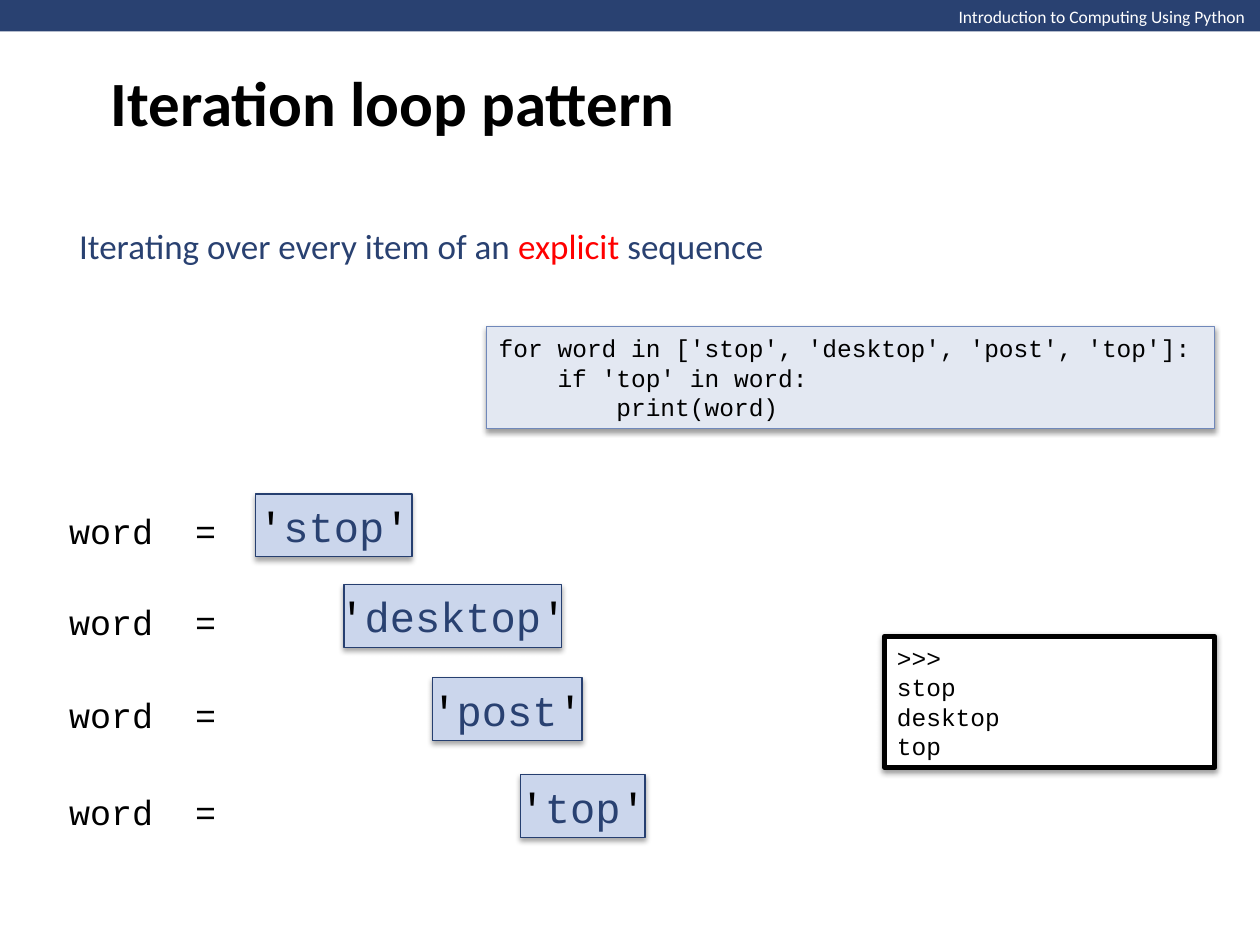
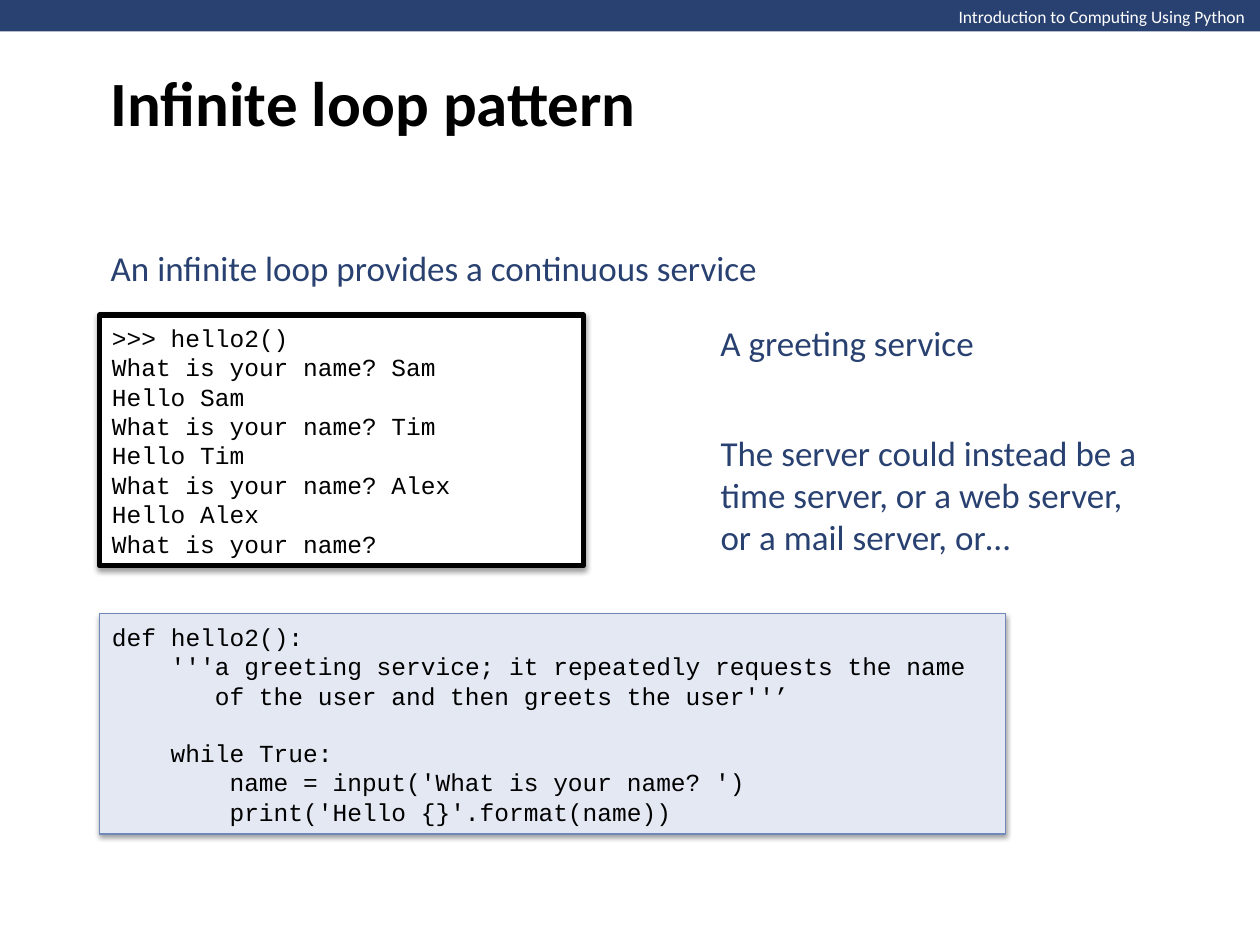
from lxml.etree import SubElement
from pptx import Presentation
from pptx.dml.color import RGBColor
from pptx.enum.shapes import MSO_SHAPE
from pptx.enum.text import MSO_ANCHOR, PP_ALIGN
from pptx.oxml.ns import qn
from pptx.util import Inches, Pt

NAVY, BLACK, WHITE, RED = "294171", "000000", "FFFFFF", "FF0000"
WORD_FILL, WORD_LINE = "CBD6EC", "263F70"
CODE_FILL, CODE_LINE = "E3E8F2", "7088BA"
SANS, MONO = "Calibri", "Courier New"
CODE_SIZE = 14
CODE_COLUMN = Pt(CODE_SIZE * 0.6)
CODE_BLANK_LINE = Pt(CODE_SIZE * 1.13)


def color(hex_code):
    return RGBColor.from_string(hex_code)


def add_run(paragraph, text, size, font, hex_code, bold=False):
    run = paragraph.add_run()
    run.text = text
    run.font.size = Pt(size)
    run.font.name = font
    run.font.bold = bold
    run.font.color.rgb = color(hex_code)


def add_text(slide, box, runs, size, font=SANS, wrap=False,
             anchor=MSO_ANCHOR.MIDDLE, bold=False):
    """Place one paragraph made of (text, colour) runs."""
    frame = slide.shapes.add_textbox(*map(Inches, box)).text_frame
    frame.word_wrap = wrap
    frame.vertical_anchor = anchor
    for text, hex_code in runs:
        add_run(frame.paragraphs[0], text, size, font, hex_code, bold)


def add_box(slide, box, fill, line=None, line_width=0.75):
    """Draw a flat rectangle, without an outline unless a line colour is given."""
    rect = slide.shapes.add_shape(MSO_SHAPE.RECTANGLE, *map(Inches, box))
    rect.shadow.inherit = False
    rect.fill.solid()
    rect.fill.fore_color.rgb = color(fill)
    if line:
        rect.line.color.rgb = color(line)
        rect.line.width = Pt(line_width)
    else:
        rect.line.fill.background()
    rect.text_frame.vertical_anchor = MSO_ANCHOR.MIDDLE
    return rect


def add_shadow(shape, opacity, distance):
    """Drop a soft black shadow straight down."""
    effects = shape._element.spPr.find(qn("a:effectLst"))
    shadow = SubElement(effects, qn("a:outerShdw"), blurRad=str(Pt(3.1)),
                        dist=str(Pt(distance)), dir="5400000", rotWithShape="0")
    black = SubElement(shadow, qn("a:srgbClr"), val=BLACK)
    SubElement(black, qn("a:alpha"), val=str(opacity * 1000))


def add_listing(slide, box, lines, fill, line, line_width):
    """Fill a box with (column, text) lines; an empty text opens a gap."""
    panel = add_box(slide, box, fill, line, line_width)
    add_shadow(panel, 38, 1.6)
    frame = panel.text_frame
    frame.word_wrap = True
    paragraph, gap = frame.paragraphs[0], 0
    for number, (column, text) in enumerate(lines):
        if not text:
            gap = CODE_BLANK_LINE
            continue
        if number:
            paragraph = frame.add_paragraph()
        paragraph.alignment = PP_ALIGN.LEFT
        paragraph.space_before = gap
        paragraph._p.get_or_add_pPr().set("marL", str(int(column * CODE_COLUMN)))
        add_run(paragraph, text, CODE_SIZE, MONO, BLACK)
        gap = 0


def add_code(slide, box, lines):
    add_listing(slide, box, lines, CODE_FILL, CODE_LINE, 0.75)


def add_console(slide, box, lines):
    add_listing(slide, box, [(0, text) for text in lines], WHITE, BLACK, 3)


def add_word_step(slide, left, top, width, word):
    """Show the value that the loop variable takes in one iteration."""
    value = add_box(slide, (left, top, width, 0.5), WORD_FILL, WORD_LINE)
    add_shadow(value, 35, 1.8)
    value.text_frame.word_wrap = False
    paragraph = value.text_frame.paragraphs[0]
    paragraph.alignment = PP_ALIGN.CENTER
    for text, hex_code in (("'", BLACK), (word, NAVY), ("'", BLACK)):
        add_run(paragraph, text, 24, MONO, hex_code)
    add_text(slide, (0.45, top + 0.07, 1.38, 0.44), [("word  =", BLACK)], 20, MONO)


def add_lesson_slide(deck, title):
    slide = deck.slides.add_slide(deck.slide_layouts[6])
    add_box(slide, (0, 0, 10.01, 0.25), NAVY)
    add_text(slide, (7.51, 0, 2.5, 0.27),
             [("Introduction to Computing Using Python", WHITE)], 10,
             anchor=MSO_ANCHOR.TOP)
    add_text(slide, (0.78, 0, 8.5, 1.61), [(title, BLACK)], 36, wrap=True, bold=True)
    return slide


def build_iteration(deck):
    slide = add_lesson_slide(deck, "Iteration loop pattern")
    steps = [(3.92, 1.24, "stop"), (4.64, 1.73, "desktop"),
             (5.38, 1.19, "post"), (6.15, 0.99, "top")]
    for index, (top, width, word) in enumerate(steps):
        add_word_step(slide, 2.03 + 0.7 * index, top, width, word)
    add_code(slide, (3.86, 2.59, 5.78, 0.81), [
        (0, "for word in ['stop', 'desktop', 'post', 'top']:"),
        (4, "if 'top' in word:"),
        (8, "print(word)"),
    ])
    add_console(slide, (7.02, 5.05, 2.62, 1.04), [">>>", "stop", "desktop", "top"])
    add_text(slide, (0.53, 1.73, 8.93, 0.44), [
        ("Iterating over every item of an ", NAVY),
        ("explicit ", RED),
        ("sequence", NAVY),
    ], 20, wrap=True)


def build_infinite(deck):
    slide = add_lesson_slide(deck, "Infinite loop pattern")
    add_text(slide, (0.78, 1.9, 5.39, 0.44),
             [("An infinite loop provides a continuous service", NAVY)], 20)
    add_code(slide, (0.79, 4.87, 7.19, 1.75), [
        (0, "def hello2():"),
        (4, "'''a greeting service; it repeatedly requests the name"),
        (7, "of the user and then greets the user''’"),
        (0, ""),
        (4, "while True:"),
        (8, "name = input('What is your name? ')"),
        (8, "print('Hello {}'.format(name))"),
    ])
    question = "What is your name?"
    dialogue = [">>> hello2()"]
    for name in ("Sam", "Tim", "Alex"):
        dialogue += [f"{question} {name}", f"Hello {name}"]
    add_console(slide, (0.79, 2.5, 3.84, 1.99), dialogue + [question])
    add_text(slide, (5.62, 2.5, 2.23, 0.44), [("A greeting service", NAVY)], 20)
    add_text(slide, (5.62, 3.37, 3.69, 1.11),
             [("The server could instead be a time server, or a web server, "
               "or a mail server, or…", NAVY)], 20, wrap=True)


def main():
    deck = Presentation()
    deck.slide_width, deck.slide_height = Inches(10), Inches(7.5)
    build_iteration(deck)
    build_infinite(deck)
    deck.save("out.pptx")


if __name__ == "__main__":
    main()
